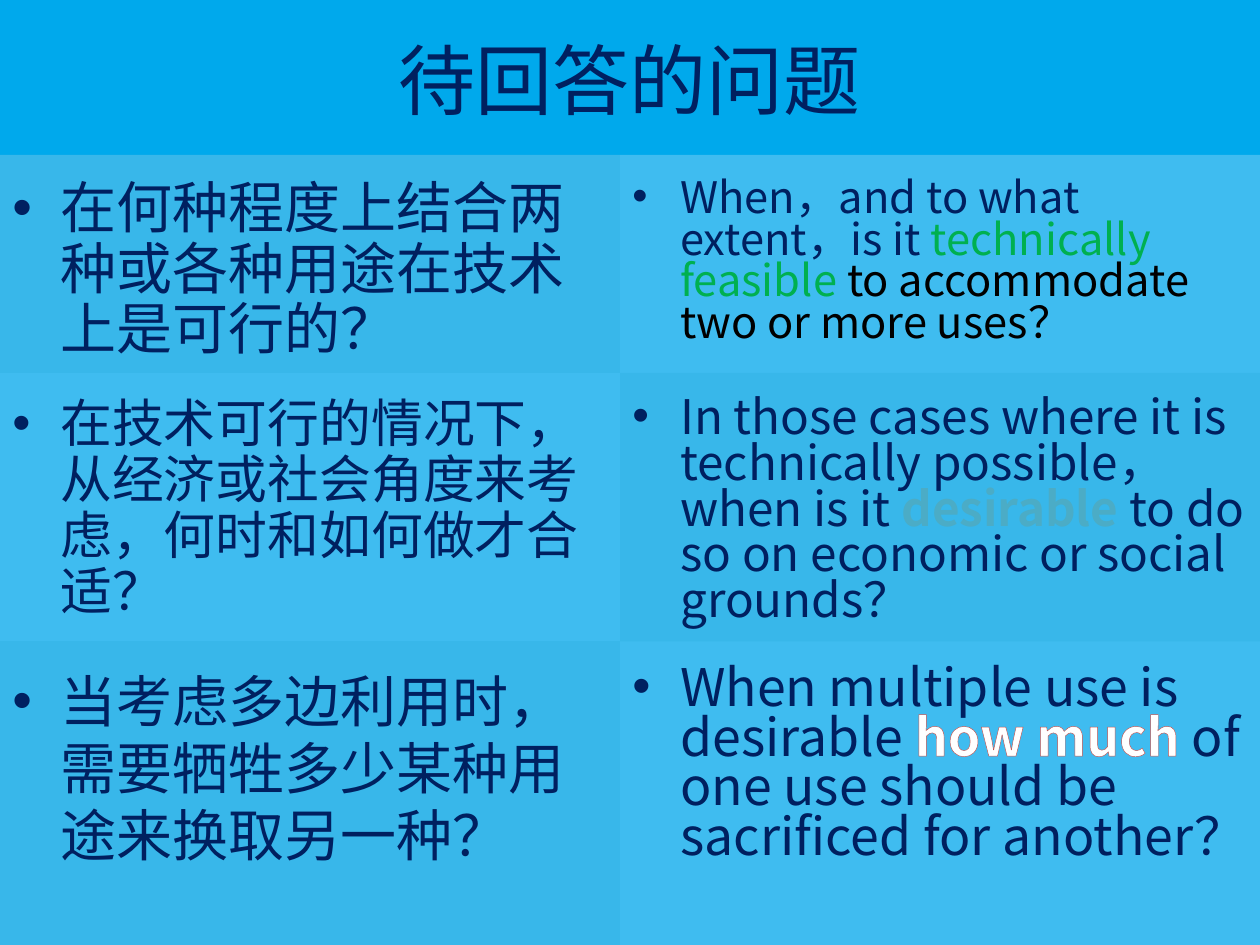
from lxml.etree import SubElement
from pptx import Presentation
from pptx.dml.color import RGBColor
from pptx.enum.lang import MSO_LANGUAGE_ID as Language
from pptx.enum.shapes import MSO_SHAPE as Shape
from pptx.enum.text import MSO_ANCHOR as Anchor, PP_ALIGN as Align
from pptx.oxml.ns import qn
from pptx.util import Emu, Inches, Pt

FONT = "Noto Sans CJK SC"
NAVY, GREEN, TEAL, RED = "002060", "00B050", "4BACC6", "C0504D"
BLACK, WHITE = "000000", "FFFFFF"
TITLE_FILL, DARK, LIGHT = "00A9EC", "38B7EA", "3FBCF0"
WIDTH, HEIGHT, TITLE_HEIGHT = 10, 7.5, 1.25
COLUMNS = [0, 4.92, WIDTH]
ROWS = [1.23, 2.96, 5.09, HEIGHT]

CHINESE = [
    (32, 0.9, "在何种程度上结合两种或各种用途在技术上是可行的？"),
    (29.6, 0.9, "在技术可行的情况下，从经济或社会角度来考虑，何时和如何做才合适？"),
    (32, 1.0, "当考虑多边利用时，需要牺牲多少某种用途来换取另一种？"),
]
ENGLISH = [
    (24.8, [("When，and to what extent，is it ", NAVY),
            ("technically feasible ", GREEN),
            ("to accommodate two or more uses？", BLACK)]),
    (27.2, [("In those cases where it is technically possible，when is it ", NAVY),
            ("desirable", TEAL, (WHITE, 0.75)),
            (" to do so on economic or social grounds？", NAVY)]),
    (29.6, [("When multiple use is desirable ", NAVY),
            ("how much ", WHITE, (RED, 0.52)),
            ("of one use should be sacrificed for another？", NAVY)]),
]


def rgb(value):
    """Return the colour for a hex string."""
    return RGBColor.from_string(value)


def add_panel(slide, box, fill):
    """Draw a plain filled rectangle in a box given in inches."""
    shape = slide.shapes.add_shape(Shape.RECTANGLE, *map(Inches, box))
    shape.shadow.inherit = False
    shape.fill.solid()
    shape.fill.fore_color.rgb = rgb(fill)
    shape.line.fill.background()
    shape.text_frame.word_wrap = True
    return shape


def add_outline(properties, color, width):
    """Give a run a coloured text outline."""
    line = properties.makeelement(qn("a:ln"), {"w": str(Pt(width))})
    fill = SubElement(line, qn("a:solidFill"))
    SubElement(fill, qn("a:srgbClr"), val=color)
    properties.insert(0, line)


def add_run(paragraph, size, language, text, color, outline=None):
    """Add one run, bold when it has an outline."""
    run = paragraph.add_run()
    run.text = text
    font = run.font
    font.size = Pt(size)
    font.name = FONT
    font.bold = outline is not None
    font.language_id = language
    font.color.rgb = rgb(color)
    properties = run._r.get_or_add_rPr()
    SubElement(properties, qn("a:ea"), typeface=FONT)
    if outline:
        add_outline(properties, *outline)


def add_bullet(paragraph):
    """Give a paragraph a hanging round bullet."""
    properties = paragraph._p.get_or_add_pPr()
    indent = Inches(0.38)
    properties.set("marL", str(indent))
    properties.set("indent", str(-indent))
    SubElement(properties, qn("a:buFont"), typeface="Arial")
    SubElement(properties, qn("a:buChar"), char="•")


def add_title(slide, box, text):
    """Place the title band."""
    frame = add_panel(slide, box, TITLE_FILL).text_frame
    frame.vertical_anchor = Anchor.MIDDLE
    paragraph = frame.paragraphs[0]
    paragraph.alignment = Align.CENTER
    add_run(paragraph, 44, Language.SIMPLIFIED_CHINESE, text, NAVY)


def add_question(slide, box, fill, size, spacing, language, runs):
    """Place one bulleted question in its grid cell."""
    frame = add_panel(slide, box, fill).text_frame
    frame.vertical_anchor = Anchor.TOP
    frame.margin_left = frame.margin_right = Inches(0.1)
    frame.margin_top, frame.margin_bottom = Inches(0.2), Inches(0.05)
    paragraph = frame.paragraphs[0]
    add_bullet(paragraph)
    paragraph.alignment = Align.LEFT
    paragraph.line_spacing = spacing
    paragraph.space_before = Emu(0)
    for run in runs:
        add_run(paragraph, size, language, *run)


def cell_box(column, row):
    """Return left, top, width and height of a grid cell."""
    left, top = COLUMNS[column], ROWS[row]
    return left, top, COLUMNS[column + 1] - left, ROWS[row + 1] - top


def main():
    """Build the slide and save it."""
    presentation = Presentation()
    presentation.slide_width = Inches(WIDTH)
    presentation.slide_height = Inches(HEIGHT)
    slide = presentation.slides.add_slide(presentation.slide_layouts[6])
    slide.background.fill.solid()
    slide.background.fill.fore_color.rgb = rgb(DARK)

    add_title(slide, (0, 0, WIDTH, TITLE_HEIGHT), "待回答的问题")
    fills = [DARK, LIGHT]
    for row, (size, runs) in enumerate(ENGLISH):
        add_question(slide, cell_box(1, row), fills[(row + 1) % 2],
                     size, 0.8, Language.ENGLISH_US, runs)
    for row, (size, spacing, text) in enumerate(CHINESE):
        add_question(slide, cell_box(0, row), fills[row % 2],
                     size, spacing, Language.SIMPLIFIED_CHINESE, [(text, NAVY)])
    presentation.save("out.pptx")


if __name__ == "__main__":
    main()
